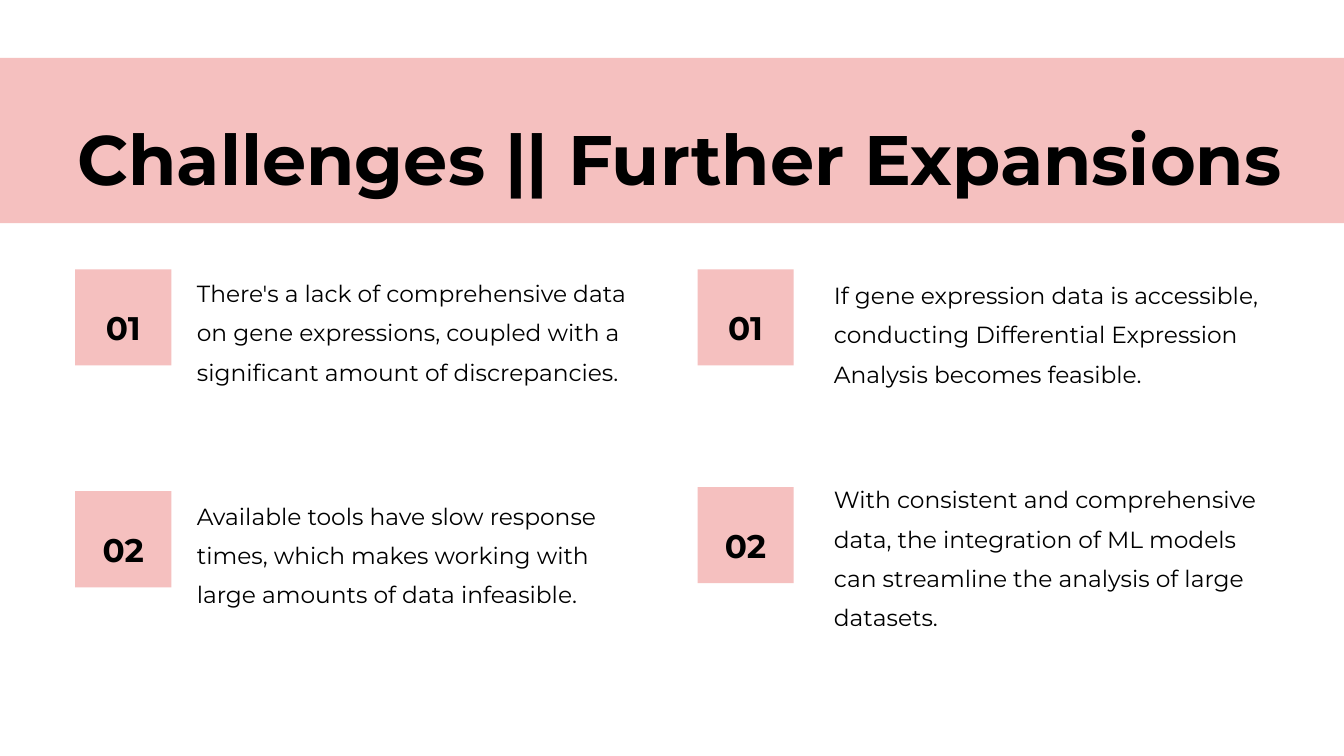
from dataclasses import dataclass

import pptx
import pptx.dml.color
import pptx.enum.shapes
import pptx.enum.text
import pptx.oxml.ns
import pptx.shapes.base
import pptx.slide
import pptx.util
from lxml import etree

Inches = pptx.util.Inches
Pt = pptx.util.Pt
Align = pptx.enum.text.PP_ALIGN

PINK = pptx.dml.color.RGBColor(0xF5, 0xC0, 0xBF)
BLACK = pptx.dml.color.RGBColor(0x00, 0x00, 0x00)

BADGE_SIZE = 1.43
NUMBER_DROP = 0.34
NUMBER_HEIGHT = 0.66
BODY_WIDTH = 6.69

FRAME_FORMAT = {
    "margin_left": 0,
    "margin_top": 0,
    "margin_right": 0,
    "margin_bottom": 0,
    "word_wrap": True,
    "auto_size": pptx.enum.text.MSO_AUTO_SIZE.NONE,
    "vertical_anchor": pptx.enum.text.MSO_ANCHOR.TOP,
}
PARAGRAPH_FORMAT = {"line_spacing": 1.4, "space_before": Pt(0), "space_after": Pt(0)}
TITLE_FONT = {"name": "Montserrat", "size": Pt(75), "bold": True}
NUMBER_FONT = {"name": "Montserrat", "size": Pt(35), "bold": True}
BODY_FONT = {"name": "Montserrat", "size": Pt(25), "bold": False}


@dataclass(frozen=True)
class Area:
    left: float
    top: float
    width: float
    height: float

    def lengths(self) -> list[pptx.util.Length]:
        return [Inches(value) for value in (self.left, self.top, self.width, self.height)]


@dataclass(frozen=True)
class Point:
    number: str
    badge_left: float
    badge_top: float
    body_left: float
    body_top: float
    body_height: float
    text: str


POINTS = [
    Point("01", 1.12, 4.01, 2.93, 3.99, 1.41,
          "There's a lack of comprehensive data on gene expressions, "
          "coupled with a significant amount of discrepancies."),
    Point("02", 1.12, 7.31, 2.93, 7.3, 1.41,
          "Available tools have slow response times, which makes working "
          "with large amounts of data infeasible."),
    Point("01", 10.38, 4.01, 12.41, 4.02, 1.41,
          "If gene expression data is accessible, conducting Differential "
          "Expression Analysis becomes feasible."),
    Point("02", 10.38, 7.25, 12.41, 7.06, 1.89,
          "With consistent and comprehensive data, the integration of ML models "
          "can streamline the analysis of large datasets."),
]


def apply_format(target: object, values: dict) -> None:
    for name, value in values.items():
        setattr(target, name, value)


def write_text(box: pptx.shapes.base.BaseShape, area: Area, text: str,
               font: dict, alignment: Align) -> None:
    box.left, box.top, box.width, box.height = area.lengths()
    frame = box.text_frame
    apply_format(frame, FRAME_FORMAT)
    para = frame.paragraphs[0]
    apply_format(para, PARAGRAPH_FORMAT | {"alignment": alignment})
    span = para.add_run()
    span.text = text
    apply_format(span.font, font)
    span.font.color.rgb = BLACK


def remove_bullet(box: pptx.shapes.base.BaseShape) -> None:
    properties = box.text_frame.paragraphs[0]._p.get_or_add_pPr()
    properties.set("marL", "0")
    properties.set("indent", "0")
    etree.SubElement(properties, pptx.oxml.ns.qn("a:buNone"))


def draw_panel(page: pptx.slide.Slide, area: Area) -> None:
    panel = page.shapes.add_shape(
        pptx.enum.shapes.MSO_SHAPE.RECTANGLE, *area.lengths())
    panel.shadow.inherit = False
    panel.fill.solid()
    panel.fill.fore_color.rgb = PINK
    panel.line.fill.background()
    element = panel._element
    element.getparent().insert(2, element)


def draw_point(page: pptx.slide.Slide, body: pptx.shapes.base.BaseShape, point: Point) -> None:
    draw_panel(page, Area(point.badge_left, point.badge_top, BADGE_SIZE, BADGE_SIZE))
    number_area = Area(point.badge_left, point.badge_top + NUMBER_DROP,
                       BADGE_SIZE, NUMBER_HEIGHT)
    number_box = page.shapes.add_textbox(*number_area.lengths())
    write_text(number_box, number_area, point.number, NUMBER_FONT, Align.CENTER)
    body_area = Area(point.body_left, point.body_top, BODY_WIDTH, point.body_height)
    write_text(body, body_area, point.text, BODY_FONT, Align.LEFT)
    remove_bullet(body)


def main() -> None:
    deck = pptx.Presentation()
    deck.slide_width = Inches(20)
    deck.slide_height = Inches(11.25)
    page = deck.slides.add_slide(deck.slide_layouts.get_by_name("Comparison"))
    title, *bodies = page.placeholders

    draw_panel(page, Area(-0.92, 0.86, 21.89, 2.46))
    write_text(title, Area(1.12, 1.22, 17.98, 1.42),
               "Challenges || Further Expansions", TITLE_FONT, Align.CENTER)
    for body, point in zip(bodies, POINTS):
        draw_point(page, body, point)

    deck.save("out.pptx")


if __name__ == "__main__":
    main()
